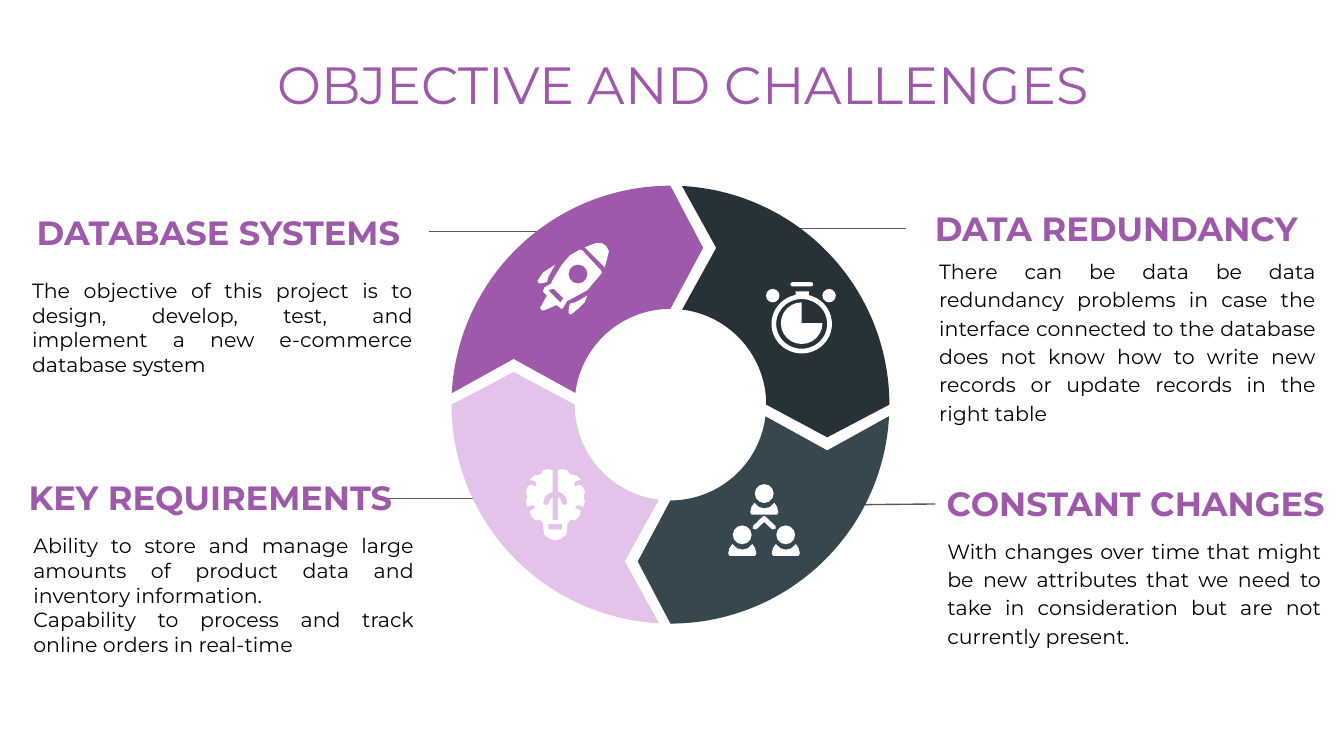
from math import cos, radians, sin

from lxml import etree
from pptx import Presentation
from pptx.dml.color import RGBColor
from pptx.enum.shapes import MSO_CONNECTOR, MSO_SHAPE
from pptx.enum.text import MSO_ANCHOR, MSO_AUTO_SIZE, PP_ALIGN
from pptx.oxml.ns import qn
from pptx.util import Pt

OVAL, DONUT, PIE = MSO_SHAPE.OVAL, MSO_SHAPE.DONUT, MSO_SHAPE.PIE
RECTANGLE, ROUNDED = MSO_SHAPE.RECTANGLE, MSO_SHAPE.ROUNDED_RECTANGLE
STRAIGHT = MSO_CONNECTOR.STRAIGHT
TOP, MIDDLE = MSO_ANCHOR.TOP, MSO_ANCHOR.MIDDLE
CENTER, JUSTIFY = PP_ALIGN.CENTER, PP_ALIGN.JUSTIFY
NO_AUTOFIT = MSO_AUTO_SIZE.NONE

PURPLE, LILAC, NIGHT, SLATE = "9E59AA", "E3C3E9", "263238", "37474F"
WHITE, BLACK, GRAY = "FFFFFF", "000000", "595959"

deck = Presentation()
deck.slide_width, deck.slide_height = Pt(720), Pt(405)
page = deck.slides.add_slide(deck.slide_layouts[5])
shapes = page.shapes


def paint(shape, color):
    """Give a flat fill with no outline and no shadow."""
    shape.fill.solid()
    shape.fill.fore_color.rgb = RGBColor.from_string(color)
    shape.line.fill.background()
    shape.shadow.inherit = False


def add_outline(points, left, top, color):
    """Draw a closed polygon, its points measured from (left, top)."""
    fine = [(x * 100, y * 100) for x, y in points]
    builder = shapes.build_freeform(*fine[0], scale=Pt(0.01))
    builder.add_line_segments(fine[1:], close=True)
    paint(builder.convert_to_shape(Pt(left), Pt(top)), color)


# Leader lines, drawn first so that the wheel covers their inner ends
for x1, y1, x2, y2 in [(205.9, 267.2, 300.2, 267.2), (427, 270.7, 501.1, 270),
                       (229.7, 124, 340.6, 124), (418.3, 122.5, 485.3, 122.5)]:
    leader = shapes.add_connector(STRAIGHT, Pt(x1), Pt(y1), Pt(x2), Pt(y2))
    leader.line.color.rgb = RGBColor.from_string(GRAY)
    leader.line.width = Pt(0.75)
    etree.SubElement(leader._element.spPr, qn("a:effectLst"))

# Title, headings and descriptions
title = shapes.title
title.left, title.top, title.width, title.height = Pt(61.9), Pt(20.9), Pt(607.7), Pt(45.4)
headings = [
    ("DATABASE SYSTEMS", 4.3, 110.2, 225.4, 28.1),
    ("DATA REDUNDANCY", 485.3, 108, 225.4, 28.1),
    ("KEY REQUIREMENTS", 6.5, 251.3, 212.4, 29.5),
    ("CONSTANT CHANGES", 490.3, 255.6, 236.2, 28.1),
]
descriptions = [
    (["The objective of this project is to design, develop, test, and "
      "implement a new e-commerce database system"], 10.1, 141.8, 218.2, 1),
    (["There can be data be data redundancy problems in case the interface "
      "connected to the database does not know how to write new records or "
      "update records in the right table"], 496.1, 129.6, 216, 1.15),
    (["Ability to store and manage large amounts of product data and "
      "inventory information.",
      "Capability to process and track online orders in real-time"],
     10.8, 278.6, 218.2, 1),
    (["With changes over time that might be new attributes that we need to "
      "take in consideration but are not currently present."],
     500.4, 279.4, 214.6, 1.15),
]
texts = [(title, ["OBJECTIVE AND CHALLENGES"], 28, False, PURPLE, CENTER, TOP, 1)]
for heading, left, top, width, height in headings:
    box = shapes.add_textbox(Pt(left), Pt(top), Pt(width), Pt(height))
    texts.append((box, [heading], 18, True, PURPLE, CENTER, MIDDLE, 1))
for lines, left, top, width, spacing in descriptions:
    box = shapes.add_textbox(Pt(left), Pt(top), Pt(width), Pt(75.6))
    texts.append((box, lines, 11, False, BLACK, JUSTIFY, TOP, spacing))

for box, lines, size, bold, color, alignment, anchor, spacing in texts:
    frame = box.text_frame
    frame.word_wrap, frame.auto_size = True, NO_AUTOFIT
    frame.vertical_anchor = anchor
    frame.margin_left = frame.margin_right = Pt(7.2)
    frame.margin_top = frame.margin_bottom = Pt(7.2)
    for index, line in enumerate(lines):
        para = frame.add_paragraph() if index else frame.paragraphs[0]
        para.alignment, para.line_spacing = alignment, spacing
        span = para.add_run()
        span.text = line
        span.font.name, span.font.size, span.font.bold = "Montserrat", Pt(size), bold
        span.font.color.rgb = RGBColor.from_string(color)

# Wheel: one arrow segment, turned a quarter at a time
OUTER, INNER = 117.3, 51.3
outer_arc = [(OUTER * cos(radians(a)), OUTER * sin(radians(a))) for a in range(270, 182, -1)]
inner_arc = [(INNER * cos(radians(a)), INNER * sin(radians(a))) for a in range(187, 271)]
segment = outer_arc + [(-84, -24.5)] + inner_arc + [(17.5, -84)]
for color in (PURPLE, NIGHT, SLATE, LILAC):
    add_outline(segment, 359.2, 216.8, color)
    segment = [(-y, x) for x, y in segment]

# Rocket
body = [(22.3, 3.6), (17.3, 6.5), (13, 11.5), (8.6, 18.7), (7.2, 21.6), (3.6, 23.8),
        (2.9, 25.9), (5, 28.1), (1.4, 34.6), (2.2, 36), (3.6, 36), (10.1, 33.1),
        (13, 35.3), (13.7, 34.6), (15.8, 31), (18.7, 29.5), (26.6, 25.2),
        (34.6, 15.8), (33.8, 14.4), (23.8, 3.6)]
nose = [(34.6, 0), (31, 0), (25.2, 2.2), (36, 13), (38.2, 4.3), (36.7, 1.4)]
lower_fin = [(26.6, 28.1), (20.2, 31.7), (17.3, 32.4), (16.6, 36), (16.6, 37.4),
             (17.3, 38.2), (18, 38.2), (22.3, 34.6), (25.2, 31.7)]
upper_fin = [(9.4, 11.5), (2.9, 15.8), (0, 20.2), (0.7, 21.6), (1.4, 21.6),
             (5, 20.9), (5.8, 18)]
band = [(8.6, 24.5), (13.7, 29.5), (12.2, 31.7), (5.8, 25.2)]
for part, color in [(body, WHITE), (nose, WHITE), (lower_fin, WHITE),
                    (upper_fin, WHITE), (band, PURPLE)]:
    add_outline(part, 288, 130.3, color)

# Brain bulb: the left half, then its mirror
half = [(0, 27.4), (-1.4, 27.4), (-1.4, 15.1), (-2.9, 16.6), (-3.6, 18.7), (-5, 19.4),
        (-6.5, 18.7), (-5.8, 15.1), (-3.6, 13), (-1.4, 12.2), (-1.4, 0.7), (-3.6, 0),
        (-6.5, 0.7), (-7.9, 2.9), (-8.6, 2.9), (-11.5, 3.6), (-13.7, 5.8),
        (-10.8, 6.5), (-10.1, 7.9), (-10.1, 8.6), (-10.8, 9.4), (-12.2, 8.6),
        (-13.7, 8.6), (-15.1, 10.1), (-15.8, 12.2), (-15.1, 15.1), (-15.8, 17.3),
        (-15.1, 20.2), (-12.2, 19.4), (-10.8, 20.2), (-10.8, 20.9), (-12.2, 21.6),
        (-13.7, 22.3), (-13, 25.2), (-10.8, 27.4), (-7.9, 27.4), (-6.5, 29.5),
        (-6.5, 31.7), (-5.8, 35.3), (-2.9, 37.4), (0, 38.2)]
add_outline(half + [(-x, y) for x, y in reversed(half)], 297.5, 251.3, WHITE)

# Team: three people joined by a chevron
shoulders = [(2.2, 0), (0.7, 2.2), (0, 5), (0.7, 6.3), (14.4, 6.3), (15.1, 5),
             (14.4, 2.2), (13, 0), (10.4, 2.3), (7.6, 3), (4.8, 2.3)]
chevron = [(6.1, 0), (5.2, 0.4), (0, 5.4), (0, 6.8), (1.8, 7.2), (6.1, 3.2),
           (10.4, 7.2), (12.2, 6.8), (12.2, 5.4), (7, 0.4)]
people = [(401.9, 259.4), (413.4, 281.5), (390.1, 281.5)]
for left, top in people:
    add_outline(shoulders, left, top + 10, WHITE)
add_outline(chevron, 403.3, 276.5, WHITE)

# Round and straight icon parts
parts = [(OVAL, left + 2.5, top, 10.1, 10.1, WHITE) for left, top in people]
parts += [
    (OVAL, 304.6, 141.8, 10.1, 10.1, PURPLE),
    (RECTANGLE, 293.8, 280.8, 7.2, 2.9, LILAC),
    (PIE, 418.3, 162, 22.3, 22.3, WHITE),
    (ROUNDED, 423.4, 151.2, 12.2, 2.2, WHITE),
    (DONUT, 413.3, 157.7, 32.4, 31.7, WHITE),
    (OVAL, 410.4, 154.8, 7.2, 7.2, WHITE),
    (OVAL, 440.6, 154.8, 7.2, 7.2, WHITE),
    (RECTANGLE, 426.2, 156.2, 7.2, 2.9, WHITE),
]
for kind, left, top, width, height, color in parts:
    part = shapes.add_shape(kind, Pt(left), Pt(top), Pt(width), Pt(height))
    paint(part, color)
    if kind == DONUT:
        part.adjustments[0] = 0.08
    elif kind == ROUNDED:
        part.adjustments[0] = 0.5

deck.save("out.pptx")
